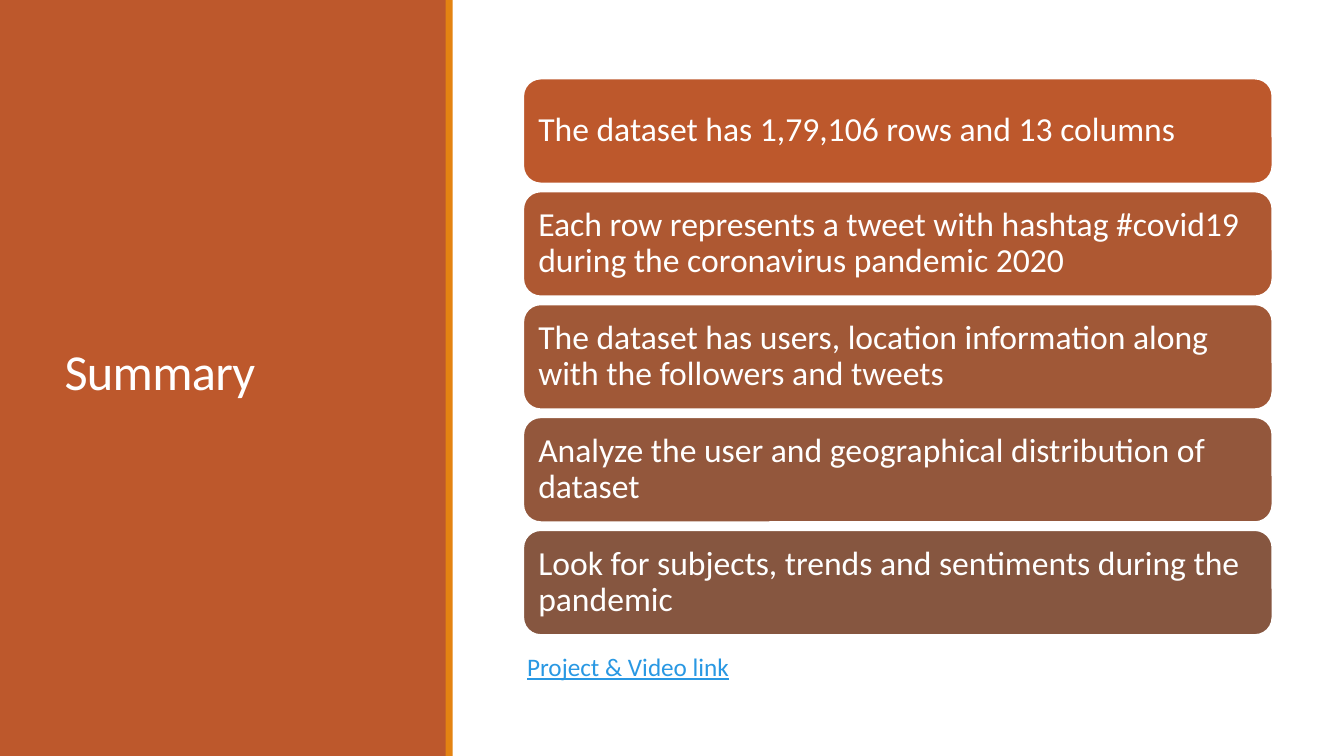
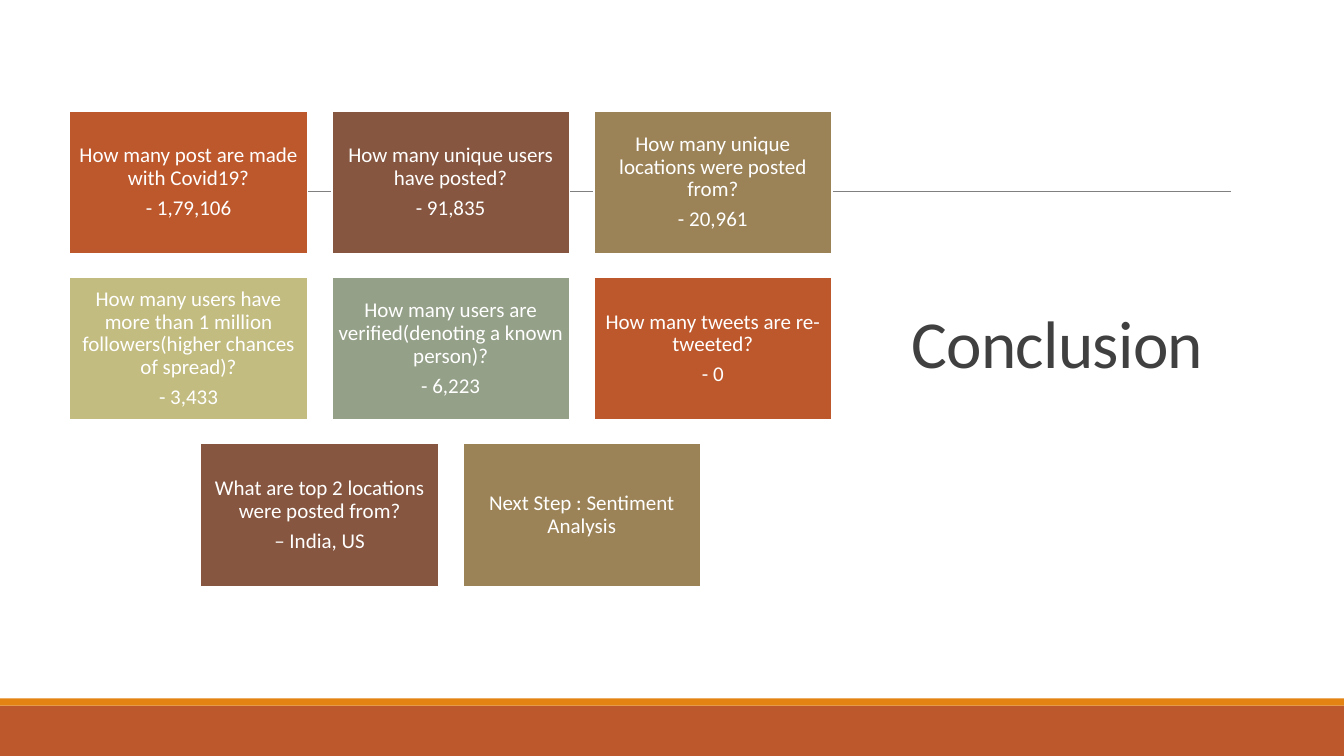
from dataclasses import dataclass

from lxml import etree
from pptx import Presentation
from pptx.dml.color import RGBColor
from pptx.enum.shapes import MSO_CONNECTOR, MSO_SHAPE
from pptx.enum.text import MSO_ANCHOR, MSO_AUTO_SIZE, PP_ALIGN
from pptx.oxml.ns import qn
from pptx.presentation import Presentation as Deck
from pptx.shapes.base import BaseShape
from pptx.slide import Slide
from pptx.text.text import TextFrame
from pptx.util import Inches, Pt

RECTANGLE = MSO_SHAPE.RECTANGLE
ROUNDED = MSO_SHAPE.ROUNDED_RECTANGLE
STRAIGHT = MSO_CONNECTOR.STRAIGHT
LEFT, CENTER = PP_ALIGN.LEFT, PP_ALIGN.CENTER
MIDDLE = MSO_ANCHOR.MIDDLE
FIXED_SIZE = MSO_AUTO_SIZE.NONE

FONT = "Calibri"
SLIDE_WIDTH, SLIDE_HEIGHT = 13.33, 7.5
BAND = 0.07
TITLE_ONLY = 5

WHITE, DARK, GREY, LINK_BLUE = "FFFFFF", "404040", "808080", "2998E3"
RUST, ORANGE, BROWN = "BD582C", "E48312", "865640"
TILE_FILLS = (RUST, BROWN, "9B8357", "C2BC80", "94A088")


@dataclass(frozen=True)
class Area:
    left: float
    top: float
    width: float
    height: float

    def lengths(self) -> tuple[Inches, ...]:
        return tuple(Inches(v) for v in (self.left, self.top, self.width, self.height))


@dataclass(frozen=True)
class TextStyle:
    size: float
    color: str = WHITE
    align: PP_ALIGN = LEFT
    line_spacing: float = 0.9
    space_after: float = 0
    underline: bool = False


@dataclass(frozen=True)
class Bar:
    text: str
    fill: str


@dataclass(frozen=True)
class Tile:
    question: str
    answer: str = ""

    def lines(self) -> list[str]:
        return [line for line in (self.question, self.answer) if line]


BAR_STYLE = TextStyle(24)
TILE_STYLE = TextStyle(15, align=CENTER, space_after=5.25)
LINK_STYLE = TextStyle(18, LINK_BLUE, line_spacing=1, underline=True)

BARS = (
    Bar("The dataset has 1,79,106 rows and 13 columns", RUST),
    Bar("Each row represents a tweet with hashtag #covid19 during the coronavirus "
        "pandemic 2020", "AE5832"),
    Bar("The dataset has users, location information along with the followers and "
        "tweets", "A05837"),
    Bar("Analyze the user and geographical distribution of dataset", "93573C"),
    Bar("Look for subjects, trends and sentiments during the pandemic", BROWN),
)
FIRST_BAR = Area(5.19, 0.78, 7.43, 1.04)
BAR_STEP = 1.12

TILES = (
    Tile("How many post are made with Covid19?", "- 1,79,106"),
    Tile("How many unique users have posted?", "- 91,835"),
    Tile("How many unique locations were posted from?", "- 20,961"),
    Tile("How many users have more than 1 million followers(higher chances of spread)?",
         "- 3,433"),
    Tile("How many users are verified(denoting a known person)?", "- 6,223"),
    Tile("How many tweets are re-tweeted?", "- 0"),
    Tile("What are top 2 locations were posted from?", "– India, US"),
    Tile("Next Step : Sentiment Analysis"),
)
FIRST_TILE = Area(0.69, 1.1, 2.36, 1.42)
COLUMNS, COLUMN_STEP, ROW_STEP = 3, 2.6, 1.65


def rgb(color: str) -> RGBColor:
    return RGBColor.from_string(color)


def write(frame: TextFrame, lines: list[str], style: TextStyle, margin: float) -> None:
    """Fill a text frame, one paragraph per line, with equal margins on each side."""
    frame_format = {"word_wrap": True, "auto_size": FIXED_SIZE, "vertical_anchor": MIDDLE}
    frame_format |= {f"margin_{side}": Inches(margin)
                     for side in ("left", "top", "right", "bottom")}
    para_format = {"alignment": style.align, "line_spacing": style.line_spacing,
                   "space_before": Pt(0), "space_after": Pt(style.space_after)}
    font_format = {"name": FONT, "size": Pt(style.size), "underline": style.underline}
    set_all(frame, frame_format)
    for index, line in enumerate(lines):
        para = frame.paragraphs[0] if index == 0 else frame.add_paragraph()
        set_all(para, para_format)
        span = para.add_run()
        span.text = line
        set_all(span.font, font_format)
        span.font.color.rgb = rgb(style.color)


def set_all(target: object, values: dict[str, object]) -> None:
    for name, value in values.items():
        setattr(target, name, value)


def add_box(page: Slide, area: Area, fill: str, kind: MSO_SHAPE = RECTANGLE,
            outline: str = "") -> BaseShape:
    box = page.shapes.add_shape(kind, *area.lengths())
    box.shadow.inherit = False
    box.fill.solid()
    box.fill.fore_color.rgb = rgb(fill)
    if outline:
        box.line.color.rgb = rgb(outline)
        box.line.width = Pt(1.25)
    else:
        box.line.fill.background()
    return box


def add_title(page: Slide, text: str, area: Area, size: float, color: str) -> None:
    title = page.shapes.title
    set_all(title, dict(zip(("left", "top", "width", "height"), area.lengths())))
    write(title.text_frame, [text], TextStyle(size, color, line_spacing=0.85), 0.1)
    title.text_frame.paragraphs[0].runs[0].font._element.set("spc", "-50")
    # Bring the title in front of the panel drawn after it.
    title.element.getparent().append(title.element)


def add_rule(page: Slide, left: float, right: float, top: float) -> None:
    rule = page.shapes.add_connector(
        STRAIGHT, Inches(left), Inches(top), Inches(right), Inches(top))
    rule.line.color.rgb = rgb(GREY)
    rule.line.width = Pt(0.5)
    etree.SubElement(rule.element.spPr, qn("a:effectLst"))


def add_summary(deck: Deck) -> None:
    page = deck.slides.add_slide(deck.slide_layouts[TITLE_ONLY])
    add_box(page, Area(0, 0, 4.43, SLIDE_HEIGHT), RUST)
    add_box(page, Area(4.42, 0, BAND, SLIDE_HEIGHT), ORANGE)
    add_title(page, "Summary", Area(0.54, 0.57, 3.37, 6.31), 36, WHITE)
    for index, bar in enumerate(BARS):
        area = Area(FIRST_BAR.left, FIRST_BAR.top + index * BAR_STEP,
                    FIRST_BAR.width, FIRST_BAR.height)
        box = add_box(page, area, bar.fill, ROUNDED, WHITE)
        # A rounded rectangle already insets its text by about 0.05 inches.
        write(box.text_frame, [bar.text], BAR_STYLE, 0.1)
    link = page.shapes.add_textbox(*Area(5.13, 6.41, 7.43, 0.4).lengths())
    write(link.text_frame, ["Project & Video link"], LINK_STYLE, 0.1)


def add_conclusion(deck: Deck) -> None:
    page = deck.slides.add_slide(deck.slide_layouts[TITLE_ONLY])
    add_box(page, Area(0, 7, SLIDE_WIDTH, 0.5), RUST)
    add_box(page, Area(0, 7 - BAND, SLIDE_WIDTH, BAND), ORANGE)
    add_rule(page, 1.31, 12.21, 1.9)
    add_title(page, "Conclusion", Area(8.94, 0.69, 3.69, 5.53), 48, DARK)
    for index, tile in enumerate(TILES):
        row, column = divmod(index, COLUMNS)
        missing = max(0, (row + 1) * COLUMNS - len(TILES))
        area = Area(FIRST_TILE.left + (column + missing / 2) * COLUMN_STEP,
                    FIRST_TILE.top + row * ROW_STEP, FIRST_TILE.width, FIRST_TILE.height)
        box = add_box(page, area, TILE_FILLS[index % len(TILE_FILLS)], outline=WHITE)
        write(box.text_frame, tile.lines(), TILE_STYLE, 0.06)


def main() -> None:
    deck = Presentation()
    deck.slide_width, deck.slide_height = Inches(SLIDE_WIDTH), Inches(SLIDE_HEIGHT)
    add_summary(deck)
    add_conclusion(deck)
    deck.save("out.pptx")


if __name__ == "__main__":
    main()
